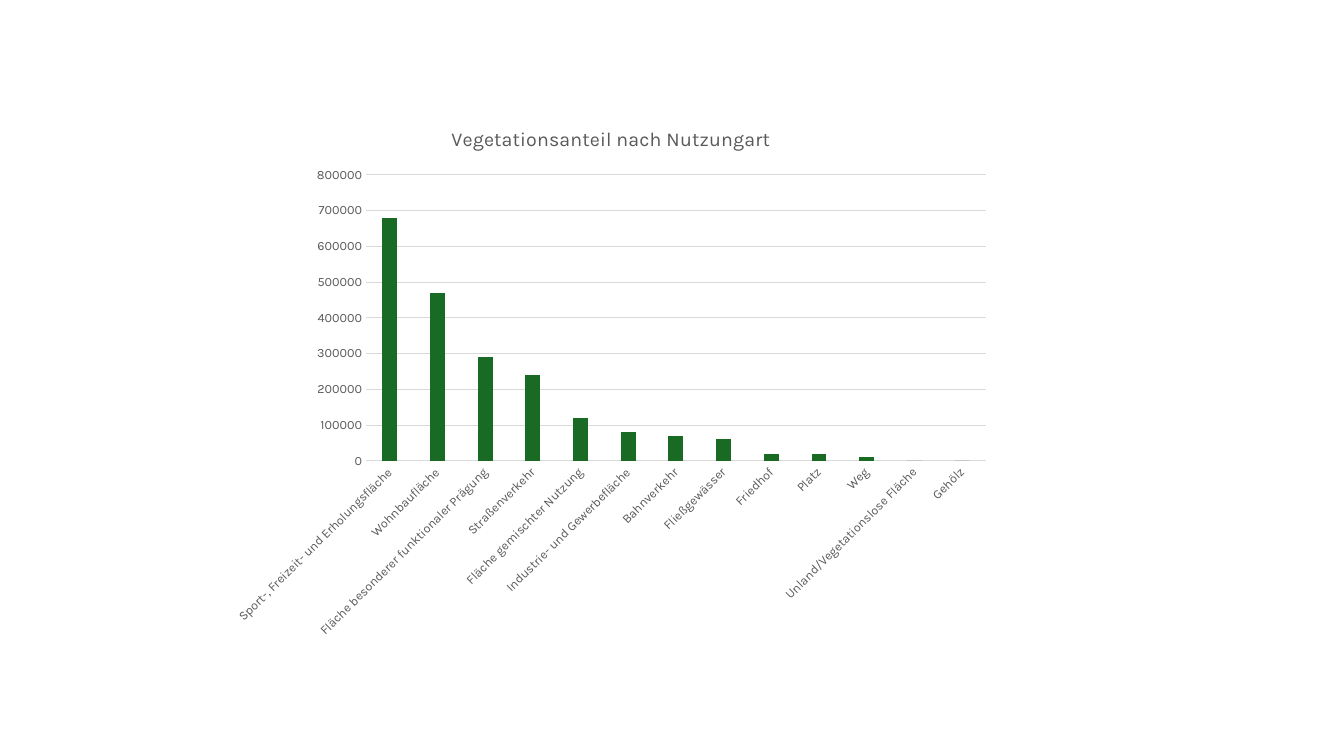
import dataclasses

import lxml.etree
import pptx
import pptx.chart.axis
import pptx.chart.chart
import pptx.chart.data
import pptx.dml.color
import pptx.dml.line
import pptx.enum.chart
import pptx.oxml
import pptx.oxml.ns
import pptx.slide
import pptx.text.text
import pptx.util

EMU_PER_PX = 914400 / 100.8
FONT = "Karla"
TEXT_COLOR = "595959"
LINE_COLOR = "D9D9D9"
BAR_COLOR = "196B24"


@dataclasses.dataclass(frozen=True)
class Box:
    left: int
    top: int
    width: int
    height: int


@dataclasses.dataclass(frozen=True)
class LandUse:
    name: str
    vegetation: int


CHART_BOX = Box(220, 107, 782, 542)
PLOT_BOX = Box(366, 175, 620, 286)
LAND_USES = [
    LandUse("Sport-, Freizeit- und Erholungsfläche", 680000),
    LandUse("Wohnbaufläche", 470000),
    LandUse("Fläche besonderer funktionaler Prägung", 290000),
    LandUse("Straßenverkehr", 240000),
    LandUse("Fläche gemischter Nutzung", 120000),
    LandUse("Industrie- und Gewerbefläche", 80000),
    LandUse("Bahnverkehr", 70000),
    LandUse("Fließgewässer", 60000),
    LandUse("Friedhof", 20000),
    LandUse("Platz", 20000),
    LandUse("Weg", 10000),
    LandUse("Unland/Vegetationslose Fläche", 0),
    LandUse("Gehölz", 0),
]


def px(length: int) -> pptx.util.Emu:
    return pptx.util.Emu(round(length * EMU_PER_PX))


def color(value: str) -> pptx.dml.color.RGBColor:
    return pptx.dml.color.RGBColor.from_string(value)


def style_font(font: pptx.text.text.Font, size: int) -> None:
    font.name = FONT
    font.size = pptx.util.Pt(size)
    font.bold = False
    font.color.rgb = color(TEXT_COLOR)


def style_line(line: pptx.dml.line.LineFormat) -> None:
    line.color.rgb = color(LINE_COLOR)
    line.width = pptx.util.Pt(0.75)


def style_axis(axis: pptx.chart.axis._BaseAxis) -> None:
    axis.major_tick_mark = pptx.enum.chart.XL_TICK_MARK.NONE
    axis.minor_tick_mark = pptx.enum.chart.XL_TICK_MARK.NONE
    style_font(axis.tick_labels.font, 9)


def place_plot(chart: pptx.chart.chart.Chart, plot: Box, frame: Box) -> None:
    plot_area = chart._chartSpace.chart.plotArea
    for old_layout in plot_area.xpath("c:layout"):
        plot_area.remove(old_layout)
    layout = pptx.oxml.parse_xml(f"<c:layout {pptx.oxml.ns.nsdecls('c')}/>")
    manual = lxml.etree.SubElement(layout, pptx.oxml.ns.qn("c:manualLayout"))
    settings = {
        "layoutTarget": "inner",
        "xMode": "edge",
        "yMode": "edge",
        "x": (plot.left - frame.left) / frame.width,
        "y": (plot.top - frame.top) / frame.height,
        "w": plot.width / frame.width,
        "h": plot.height / frame.height,
    }
    for name, value in settings.items():
        lxml.etree.SubElement(manual, pptx.oxml.ns.qn(f"c:{name}")).set("val", str(value))
    plot_area.insert(0, layout)


def add_vegetation_chart(slide: pptx.slide.Slide, box: Box) -> None:
    data = pptx.chart.data.CategoryChartData()
    data.categories = [land_use.name for land_use in LAND_USES]
    data.add_series("Series 1", [land_use.vegetation for land_use in LAND_USES])
    chart = slide.shapes.add_chart(
        pptx.enum.chart.XL_CHART_TYPE.COLUMN_CLUSTERED,
        px(box.left), px(box.top), px(box.width), px(box.height), data,
    ).chart
    style_font(chart.font, 10)
    chart.has_legend = False

    paragraph = chart.chart_title.text_frame.paragraphs[0]
    paragraph.text = "Vegetationsanteil nach Nutzungart"
    style_font(paragraph.runs[0].font, 14)
    chart.chart_title.include_in_layout = False

    plot = chart.plots[0]
    plot.gap_width = 219
    plot.overlap = -27
    plot.vary_by_categories = False
    fill = plot.series[0].format.fill
    fill.solid()
    fill.fore_color.rgb = color(BAR_COLOR)

    category_axis = chart.category_axis
    style_axis(category_axis)
    style_line(category_axis.format.line)
    category_axis._element.xpath("c:txPr/a:bodyPr")[0].set("rot", "-2700000")

    value_axis = chart.value_axis
    style_axis(value_axis)
    value_axis.minimum_scale = 0
    value_axis.maximum_scale = 800000
    value_axis.major_unit = 100000
    value_axis.format.line.fill.background()
    style_line(value_axis.major_gridlines.format.line)
    place_plot(chart, PLOT_BOX, box)


def main() -> None:
    """Build the slide with the vegetation chart and save it."""
    presentation = pptx.Presentation()
    presentation.slide_width = px(1344)
    presentation.slide_height = px(756)
    slide = presentation.slides.add_slide(presentation.slide_layouts[6])
    add_vegetation_chart(slide, CHART_BOX)
    presentation.save("out.pptx")


if __name__ == "__main__":
    main()
